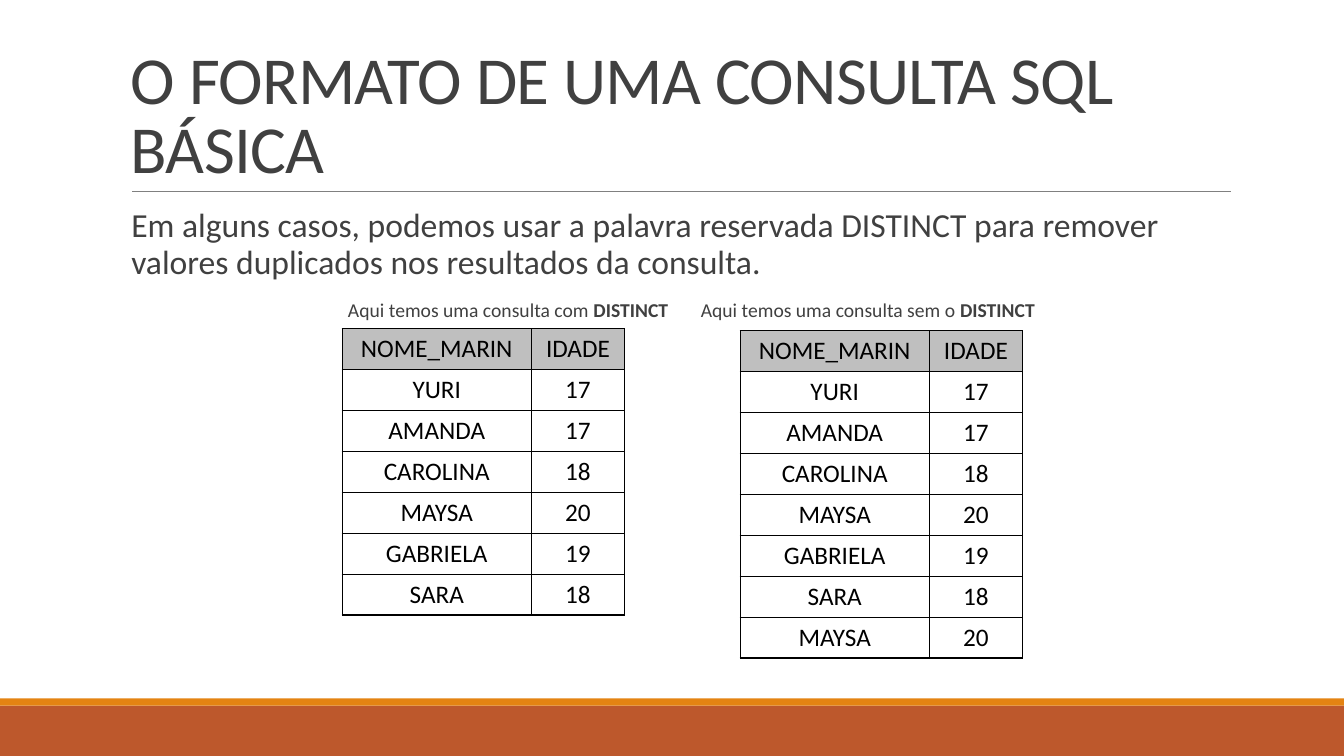
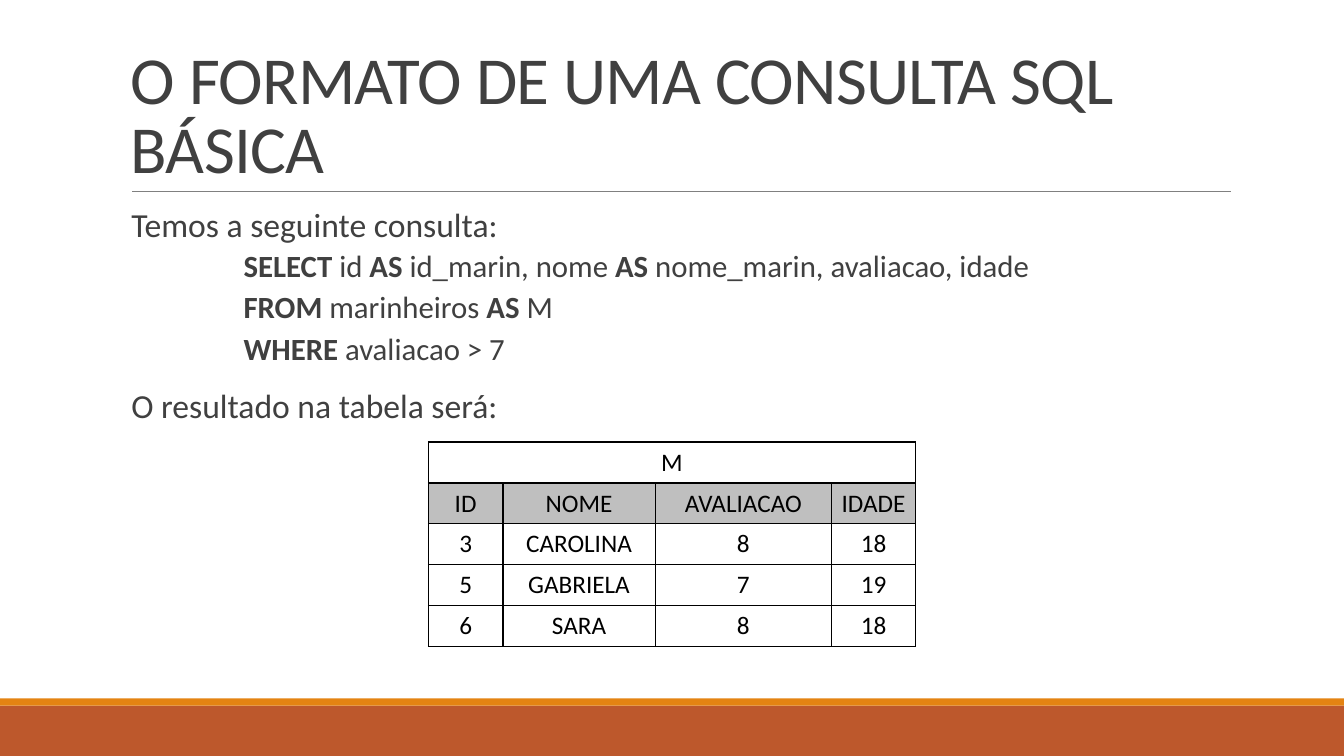
from lxml import etree
from pptx import Presentation
from pptx import util as u
from pptx.dml.color import RGBColor
from pptx.enum import shapes, text
from pptx.oxml.ns import qn

PX = 9525  # EMU in one px, 96 px to the inch
W, H = 1280, 720
FONT = "Calibri"
INK, BLACK, WHITE = "404040", "000000", "FFFFFF"
RUST, ORANGE, RULE, HEADER = "BD582C", "E48312", "808080", "BFBFBF"
LEFT, CENTER = text.PP_ALIGN.LEFT, text.PP_ALIGN.CENTER
TITLE = "O FORMATO DE UMA CONSULTA SQL BÁSICA"
TITLE_BOX = (115, 30, 1056, 153)
BODY_BOX = (115, 194, 1077, 422)
ROW_H = 39
CELL_PAD = 5


def px(n):
    return u.Emu(n * PX)


def rgb(value):
    return RGBColor.from_string(value)


def place(sp, box):
    sp.left, sp.top, sp.width, sp.height = map(px, box)


def write(p, content, size, color=INK, align=LEFT, line=None, before=0, after=0,
          margin=0, spacing=0, tab=0):
    """Fill a paragraph; parts between ** marks are bold."""
    p.alignment = align
    p.space_before, p.space_after = u.Pt(before), u.Pt(after)
    if line:
        p.line_spacing = line
    pPr = p._p.get_or_add_pPr()
    pPr.set("marL", str(px(margin)))
    pPr.set("indent", "0")
    etree.SubElement(pPr, qn("a:buNone"))
    if tab:
        stops = etree.SubElement(pPr, qn("a:tabLst"))
        etree.SubElement(stops, qn("a:tab"), pos=str(px(tab)), algn="l")
    for i, part in enumerate(content.split("**")):
        if not part:
            continue
        r = p.add_run()
        r.text = part
        f = r.font
        f.name, f.size, f.bold = FONT, u.Pt(size), i % 2 == 1
        f.color.rgb = rgb(color)
        if spacing:
            r._r.get_or_add_rPr().set("spc", str(spacing))


def add_band(s, box, color):
    sp = s.shapes.add_shape(shapes.MSO_SHAPE.RECTANGLE, *map(px, box))
    sp.shadow.inherit = False
    sp.fill.solid()
    sp.fill.fore_color.rgb = rgb(color)
    sp.line.fill.background()


def add_frame(prs):
    """New slide with the shared bands, rule and title."""
    s = prs.slides.add_slide(prs.slide_layouts[1])
    add_band(s, (0, 672, W, 48), RUST)
    add_band(s, (0, 665, W, 7), ORANGE)
    rule = s.shapes.add_connector(shapes.MSO_CONNECTOR.STRAIGHT,
                                  px(126), px(182), px(1172), px(182))
    rule.line.color.rgb = rgb(RULE)
    rule.line.width = u.Pt(0.5)
    etree.SubElement(rule._element.spPr, qn("a:effectLst"))

    title = s.shapes.title
    place(title, TITLE_BOX)
    tf = title.text_frame
    tf.auto_size = text.MSO_AUTO_SIZE.NONE
    tf.vertical_anchor = text.MSO_ANCHOR.BOTTOM
    write(tf.paragraphs[0], TITLE, 48, line=0.85, spacing=-50)
    return s


def add_body(s, box, paragraphs):
    """Fill the body placeholder from (style, text) pairs."""
    styles = {
        "lead": dict(size=24, before=12, after=2, margin=10),
        "caption": dict(size=14, before=12, after=2, margin=10, align=CENTER, tab=375),
        "code": dict(size=22, before=2, after=4, margin=117),
    }
    body = s.placeholders[1]
    place(body, box)
    tf = body.text_frame
    tf.auto_size = text.MSO_AUTO_SIZE.NONE
    tf.margin_left = tf.margin_right = 0
    for i, (style, content) in enumerate(paragraphs):
        p = tf.add_paragraph() if i else tf.paragraphs[0]
        p.level = int(style == "code")
        write(p, content, line=0.9, **styles[style])


def set_borders(cell):
    tcPr = cell._tc.get_or_add_tcPr()
    for side in ("a:lnL", "a:lnR", "a:lnT", "a:lnB"):
        ln = etree.SubElement(tcPr, qn(side), w=str(u.Pt(1)))
        fill = etree.SubElement(ln, qn("a:solidFill"))
        etree.SubElement(fill, qn("a:srgbClr"), val=BLACK)


def add_grid(s, left, top, widths, rows, caption=None):
    """Bordered table: optional merged caption row, grey header, data rows."""
    header = 1 if caption else 0
    if caption:
        rows = [[caption] + [""] * (len(widths) - 1)] + rows
    box = (left, top, sum(widths), ROW_H * len(rows))
    tbl = s.shapes.add_table(len(rows), len(widths), *map(px, box)).table
    tbl.first_row = tbl.horz_banding = False
    for col, width in zip(tbl.columns, widths):
        col.width = px(width)
    for i, row in enumerate(rows):
        tbl.rows[i].height = px(ROW_H)
        for j, value in enumerate(row):
            cell = tbl.cell(i, j)
            cell.margin_left = cell.margin_right = px(CELL_PAD)
            set_borders(cell)
            if i <= header:
                cell.fill.solid()
                cell.fill.fore_color.rgb = rgb(HEADER if i == header else WHITE)
            else:
                cell.fill.background()
            write(cell.text_frame.paragraphs[0], value, 18, color=BLACK, align=CENTER)
    if caption:
        tbl.cell(0, 0).merge(tbl.cell(0, len(widths) - 1))


def distinct_slide(prs):
    s = add_frame(prs)
    add_body(s, BODY_BOX, [
        ("lead", "Em alguns casos, podemos usar a palavra reservada DISTINCT para "
                 "remover valores duplicados nos resultados da consulta."),
        ("caption", "Aqui temos uma consulta com **DISTINCT**"
                    "\tAqui temos uma consulta sem o **DISTINCT**"),
    ])
    sailors = [("NOME_MARIN", "IDADE"), ("YURI", "17"), ("AMANDA", "17"),
               ("CAROLINA", "18"), ("MAYSA", "20"), ("GABRIELA", "19"), ("SARA", "18")]
    widths = (180, 89)
    add_grid(s, 326, 313, widths, sailors)
    add_grid(s, 705, 315, widths, sailors + [("MAYSA", "20")])


def alias_slide(prs):
    s = add_frame(prs)
    add_body(s, BODY_BOX, [
        ("lead", "Temos a seguinte consulta:"),
        ("code", "**SELECT** id **AS** id_marin, nome **AS **nome_marin, avaliacao, idade"),
        ("code", "**FROM** marinheiros **AS** M"),
        ("code", "**WHERE** avaliacao > 7"),
        ("lead", "O resultado na tabela será:"),
    ])
    add_grid(s, 408, 421, (71, 145, 168, 80), [
        ("ID", "NOME", "AVALIACAO", "IDADE"),
        ("3", "CAROLINA", "8", "18"),
        ("5", "GABRIELA", "7", "19"),
        ("6", "SARA", "8", "18"),
    ], caption="M")


def main():
    prs = Presentation()
    prs.slide_width, prs.slide_height = px(W), px(H)
    distinct_slide(prs)
    alias_slide(prs)
    prs.save("out.pptx")


if __name__ == "__main__":
    main()
